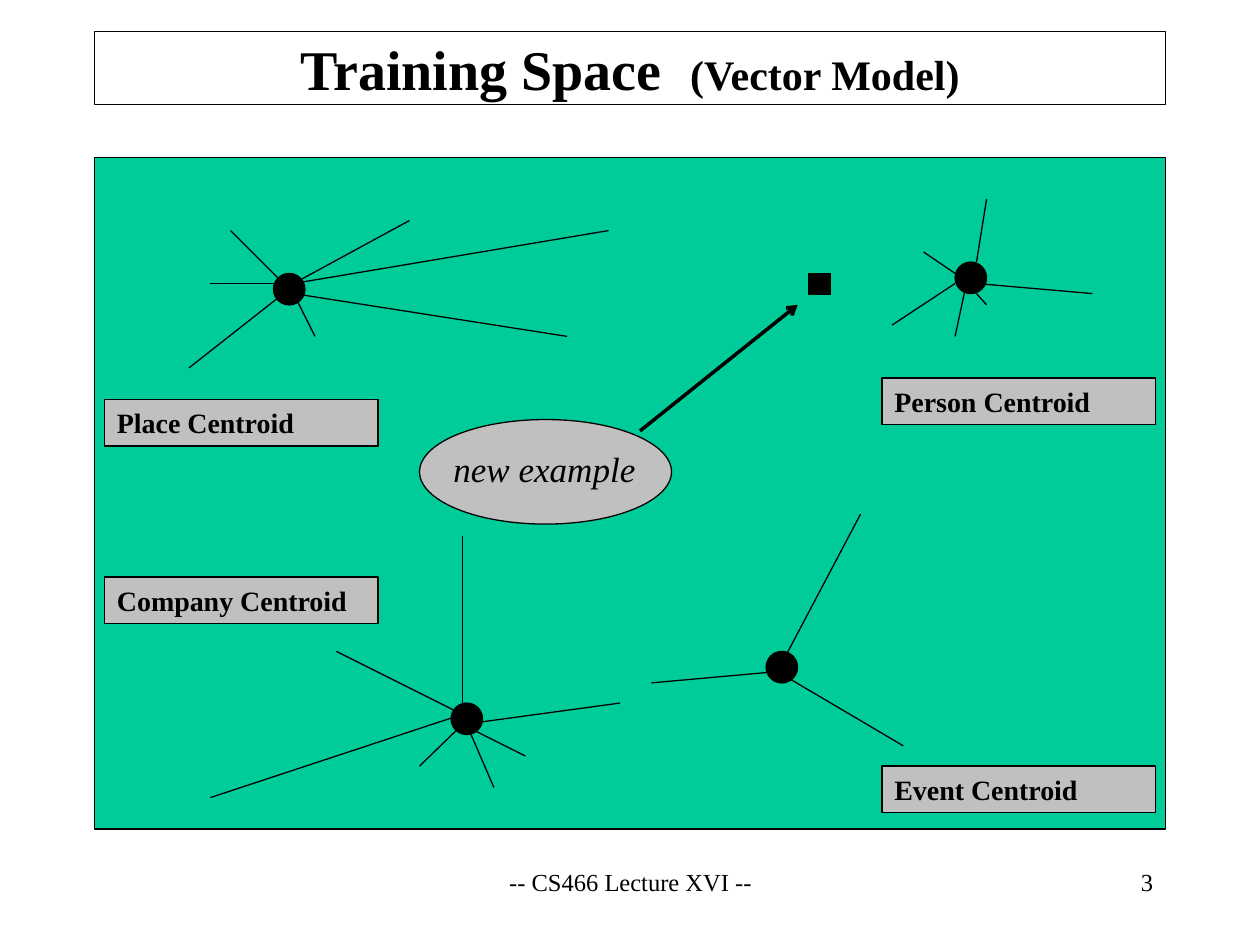
from lxml import etree
from pptx import Presentation
from pptx.dml.color import RGBColor
from pptx.enum.shapes import MSO_CONNECTOR, MSO_SHAPE
from pptx.enum.text import MSO_ANCHOR, PP_ALIGN
from pptx.oxml.ns import qn
from pptx.util import Inches, Pt

# Content
BLACK, GREEN, GRAY = "000000", "00CC99", "C0C0C0"
TITLE = [("Training Space  ", 32), ("(Vector Model)", 24)]
DOT_SIZE = 0.25
LABEL_SIZE = (2.17, 0.37)

# Each cluster: label, label corner, dot corner, rays from near the centroid
CLUSTERS = [
    ("Place Centroid", (0.83, 3.17), (2.17, 2.17), [
        ((2.33, 2.33), (1.83, 1.83)), ((2.25, 2.33), (1.5, 2.92)),
        ((2.25, 2.25), (1.67, 2.25)), ((2.33, 2.25), (3.25, 1.75)),
        ((2.33, 2.33), (4.5, 2.67)), ((2.33, 2.33), (2.5, 2.67)),
        ((2.33, 2.25), (4.83, 1.83))]),
    ("Person Centroid", (7, 3), (7.58, 2.08), [
        ((7.58, 2.25), (7.08, 2.58)), ((7.75, 2.33), (7.83, 2.42)),
        ((7.75, 2.08), (7.83, 1.58)), ((7.75, 2.25), (8.67, 2.33)),
        ((7.67, 2.25), (7.58, 2.67)), ((7.58, 2.17), (7.33, 2))]),
    ("Company Centroid", (0.83, 4.58), (3.58, 5.58), [
        ((3.67, 5.67), (3.67, 4.25)), ((3.67, 5.67), (2.67, 5.17)),
        ((3.67, 5.67), (1.67, 6.33)), ((3.67, 5.75), (4.92, 5.58)),
        ((3.67, 5.75), (3.33, 6.08)), ((3.67, 5.67), (3.92, 6.25)),
        ((3.67, 5.75), (4.17, 6))]),
    ("Event Centroid", (7, 6.08), (6.08, 5.17), [
        ((6.17, 5.33), (5.17, 5.42)), ((6.17, 5.33), (6.83, 4.08)),
        ((6.17, 5.33), (7.17, 5.92))]),
]

presentation = Presentation()
presentation.slide_width, presentation.slide_height = Inches(10), Inches(7.5)
slide = presentation.slides.add_slide(presentation.slide_layouts[6])


def color(value):
    return RGBColor.from_string(value)


def add_box(left, top, width, height, fill=None, kind=MSO_SHAPE.RECTANGLE):
    shape = slide.shapes.add_shape(
        kind, Inches(left), Inches(top), Inches(width), Inches(height))
    shape.shadow.inherit = False
    if fill:
        shape.fill.solid()
        shape.fill.fore_color.rgb = color(fill)
    else:
        shape.fill.background()
    shape.line.color.rgb = color(BLACK)
    shape.line.width = Pt(0.75)
    return shape


def write(shape, runs, align=PP_ALIGN.LEFT, anchor=MSO_ANCHOR.TOP,
          bold=False, italic=False):
    """Fill a shape with one paragraph of (text, size) runs."""
    frame = shape.text_frame
    frame.word_wrap = True
    frame.vertical_anchor = anchor
    paragraph = frame.paragraphs[0]
    paragraph.alignment = align
    for text, size in runs:
        run = paragraph.add_run()
        run.text = text
        font = run.font
        font.name, font.size = "Times New Roman", Pt(size)
        font.bold, font.italic = bold, italic
        font.color.rgb = color(BLACK)


def add_text(left, top, width, height, runs, **style):
    box = slide.shapes.add_textbox(
        Inches(left), Inches(top), Inches(width), Inches(height))
    write(box, runs, **style)


def add_line(start, end, width=0.75, arrow=False):
    points = [Inches(value) for value in (*start, *end)]
    line = slide.shapes.add_connector(MSO_CONNECTOR.STRAIGHT, *points)
    line.line.color.rgb = color(BLACK)
    line.line.width = Pt(width)
    if arrow:
        etree.SubElement(line.line._get_or_add_ln(), qn("a:tailEnd"), type="arrow")
    etree.SubElement(line._element.spPr, qn("a:effectLst"))


# Title and vector space
write(add_box(0.75, 0.25, 8.5, 0.58), TITLE, align=PP_ALIGN.CENTER,
      anchor=MSO_ANCHOR.MIDDLE, bold=True)
add_box(0.75, 1.25, 8.5, 5.33, GREEN)

# Clusters
for name, label_corner, dot_corner, rays in CLUSTERS:
    add_box(*dot_corner, DOT_SIZE, DOT_SIZE, BLACK, MSO_SHAPE.OVAL)
    for start, end in rays:
        add_line(start, end)
    write(add_box(*label_corner, *LABEL_SIZE, GRAY), [(name, 16)], bold=True)

# New example
add_box(6.42, 2.17, 0.17, 0.17, BLACK)
add_line((5.08, 3.42), (6.33, 2.42), width=2, arrow=True)
add_box(3.33, 3.33, 2, 0.83, GRAY, MSO_SHAPE.OVAL)
add_text(3.5, 3.5, 1.75, 0.44, [("new example", 20)], italic=True)

# Footer
add_text(3.42, 6.83, 3.17, 0.5, [("-- CS466 Lecture XVI --", 14)],
         align=PP_ALIGN.CENTER)
add_text(7.17, 6.83, 2.08, 0.5, [("3", 14)], align=PP_ALIGN.RIGHT)

presentation.save("out.pptx")
